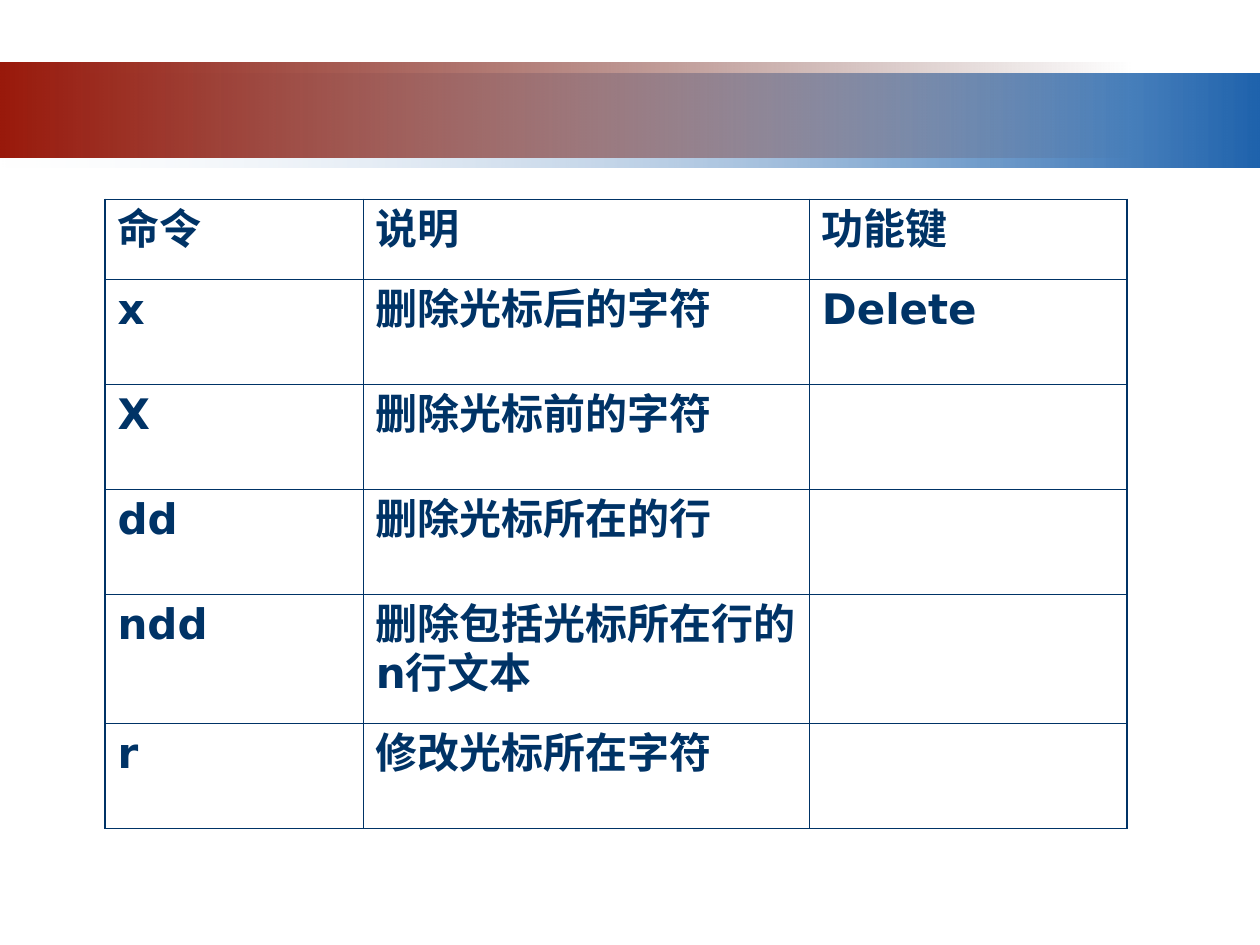
import pptx
import pptx.dml.color
import pptx.enum.shapes
import pptx.oxml
import pptx.oxml.ns
import pptx.util

Pt = pptx.util.Pt
qn = pptx.oxml.ns.qn

COLOURS = {
    "navy": "003366",
    "blue": "1F63AD",
    "pale_blue": "E2EAF3",
    "red": "99190B",
    "dark_red": "460B05",
}
FONT = "DejaVu Sans"
TEXT_FORMAT = {"name": FONT, "size": Pt(24), "bold": True}
CELL_FORMAT = {
    "margin_left": Pt(7.2),
    "margin_right": Pt(7.2),
    "margin_top": Pt(3.6),
    "margin_bottom": Pt(3.6),
}
THIN, THICK = 0.45, 1.08

COMMANDS = [
    ("命令", "说明", "功能键"),
    ("x", "删除光标后的字符", "Delete"),
    ("X", "删除光标前的字符", ""),
    ("dd", "删除光标所在的行", ""),
    ("ndd", "删除包括光标所在行的n行文本", ""),
    ("r", "修改光标所在字符", ""),
]
COLUMN_WIDTHS = [147.6, 254.9, 181.4]
ROW_HEIGHTS = [45.5, 60, 60, 60, 74, 60]


def colour(name):
    return pptx.dml.color.RGBColor.from_string(COLOURS[name])


def apply_format(target, values):
    for name, value in values.items():
        setattr(target, name, value)


def add_band(slide, top, width, right_colour, left_colour, clear_stop):
    """Add a bar whose gradient runs right to left, with one clear end."""
    shape = slide.shapes.add_shape(
        pptx.enum.shapes.MSO_SHAPE.RECTANGLE, 0, Pt(top), Pt(width), Pt(54))
    shape.shadow.inherit = False
    shape.line.fill.background()
    shape.fill.gradient()
    shape.fill.gradient_angle = 180
    for position, name in enumerate((right_colour, left_colour)):
        stop = shape.fill.gradient_stops[position]
        stop.position = position
        stop.color.rgb = colour(name)
    stops = list(shape.element.iter(qn("a:gs")))
    pptx.oxml.ns  # namespace helpers are shared with the table borders
    alpha = stops[clear_stop][0].makeelement(qn("a:alpha"), {"val": "0"})
    stops[clear_stop][0].append(alpha)


def set_borders(cell, widths):
    """Draw the cell's sides; widths go left, right, top, bottom."""
    properties = cell._tc.get_or_add_tcPr()
    for side, width in zip("LRTB", widths):
        properties.append(pptx.oxml.parse_xml(
            f'<a:ln{side} {pptx.oxml.ns.nsdecls("a")} w="{int(Pt(width))}">'
            f'<a:solidFill><a:srgbClr val="{COLOURS["navy"]}"/></a:solidFill>'
            f'</a:ln{side}>'))
    cell.fill.background()


def write_cell(cell, text):
    apply_format(cell, CELL_FORMAT)
    paragraph = cell.text_frame.paragraphs[0]
    paragraph.space_before = Pt(6)
    if not text:
        return
    run = paragraph.add_run()
    run.text = text
    apply_format(run.font, TEXT_FORMAT)
    run.font.color.rgb = colour("navy")
    properties = run._r.get_or_add_rPr()
    properties.append(
        properties.makeelement(qn("a:ea"), {"typeface": FONT}))


def add_command_table(slide):
    last_row, last_column = len(ROW_HEIGHTS) - 1, len(COLUMN_WIDTHS) - 1
    table = slide.shapes.add_table(
        len(ROW_HEIGHTS), len(COLUMN_WIDTHS), Pt(60), Pt(114),
        Pt(sum(COLUMN_WIDTHS)), Pt(sum(ROW_HEIGHTS))).table
    apply_format(table, {"first_row": False, "horz_banding": False})
    for column, width in zip(table.columns, COLUMN_WIDTHS):
        column.width = Pt(width)
    for row, height in zip(table.rows, ROW_HEIGHTS):
        row.height = Pt(height)

    # Thick lines on the outer frame, thin lines inside
    for row_index, texts in enumerate(COMMANDS):
        for column_index, text in enumerate(texts):
            cell = table.cell(row_index, column_index)
            outer_sides = (column_index == 0, column_index == last_column,
                           row_index == 0, row_index == last_row)
            write_cell(cell, text)
            set_borders(cell, [THICK if outer else THIN
                               for outer in outer_sides])


def main():
    presentation = pptx.Presentation()
    presentation.slide_width, presentation.slide_height = Pt(720), Pt(540)
    slide = presentation.slides.add_slide(presentation.slide_layouts[6])

    # Header bands
    add_band(slide, 42, 720, "blue", "pale_blue", clear_stop=1)
    add_band(slide, 36, 648, "dark_red", "red", clear_stop=0)

    # Table of editing commands
    add_command_table(slide)

    presentation.save("out.pptx")


if __name__ == "__main__":
    main()
